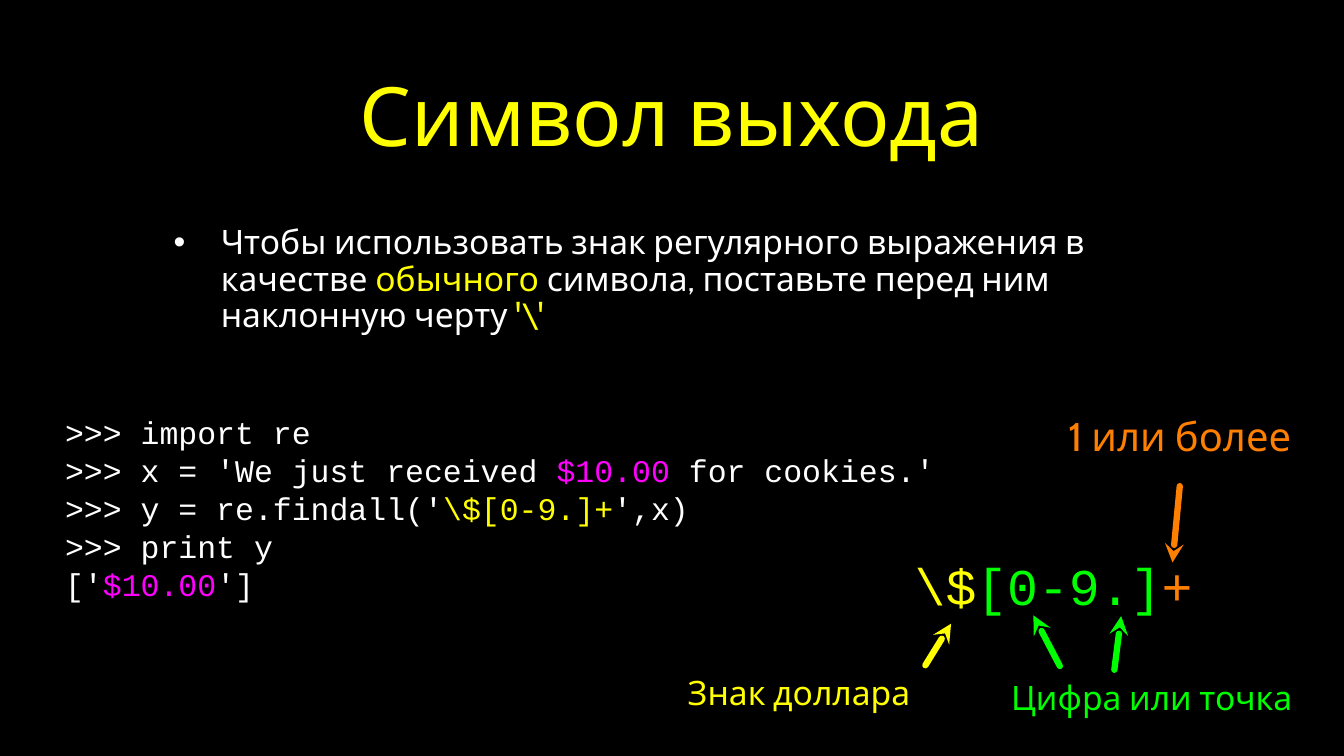
from dataclasses import dataclass

import pptx
import pptx.dml.color
import pptx.enum.shapes
import pptx.enum.text
import pptx.oxml.ns
import pptx.util
from lxml import etree

Pt = pptx.util.Pt
RGBColor = pptx.dml.color.RGBColor
Align = pptx.enum.text.PP_ALIGN

BLACK = RGBColor(0x00, 0x00, 0x00)
WHITE = RGBColor(0xFF, 0xFF, 0xFF)
YELLOW = RGBColor(0xFF, 0xFF, 0x00)
MAGENTA = RGBColor(0xFF, 0x00, 0xFF)
GREEN = RGBColor(0x00, 0xFF, 0x00)
ORANGE = RGBColor(0xFF, 0x7F, 0x00)

PROSE_FONT = "Cabin"
CODE_FONT = "Courier New"
BODY_INSET = 4.5

Line = list[tuple[str, RGBColor]]


@dataclass
class Block:
    box: tuple[float, float, float, float]
    lines: list[Line]
    size: float
    font: str = PROSE_FONT
    align: Align = Align.LEFT
    inset: float = 0
    spacing: float | pptx.util.Length | None = None


@dataclass
class Arrow:
    tip: tuple[float, float]
    tail: tuple[float, float]
    color: RGBColor


TITLE = Block((118.8, 18.7, 1041.8, 180), [[("Символ выхода", YELLOW)]], 78,
              align=Align.CENTER, inset=BODY_INSET)
RULE = Block((118.8, 203.8, 1041.8, 126), [[
    ("Чтобы использовать знак регулярного выражения в качестве ", WHITE),
    ("обычного", YELLOW),
    (" символа, поставьте перед ним наклонную черту ", WHITE),
    ("'\\'", YELLOW),
]], 32, inset=BODY_INSET, spacing=0.9)
CODE = Block((62, 368.6, 852.5, 230.4), [
    [(">>> import re", WHITE)],
    [(">>> x = 'We just received ", WHITE), ("$10.00", MAGENTA), (" for cookies.'", WHITE)],
    [(">>> y = re.findall('", WHITE), ("\\$[0-9.]+", YELLOW), ("',x)", WHITE)],
    [(">>> print y", WHITE)],
    [("['", WHITE), ("$10.00", MAGENTA), ("']", WHITE)],
], 30, CODE_FONT, spacing=Pt(36))
PATTERN = Block((871.2, 524.9, 269.3, 64.1),
                [[("\\$", YELLOW), ("[0-9.]", GREEN), ("+", ORANGE)]], 49, CODE_FONT)
DIGIT_LABEL = Block((945.4, 637.9, 303.1, 51.8), [[("Цифра или точка", GREEN)]], 32,
                    align=Align.CENTER)
DOLLAR_LABEL = Block((626.4, 632.9, 269.3, 51.8), [[("Знак доллара", YELLOW)]], 32,
                     align=Align.CENTER)
REPEAT_LABEL = Block((1010.2, 367.2, 226.8, 95.8), [[("1 или более", ORANGE)]], 38,
                     align=Align.CENTER)

ARROWS = [
    Arrow((905.8, 594), (881.3, 633.6), YELLOW),
    Arrow((984.2, 586.1), (1009.4, 634.3), GREEN),
    Arrow((1067.8, 586.8), (1061.3, 637.9), GREEN),
]
REPEAT_ARROW = Arrow((1116.7, 535.7), (1123.6, 463), ORANGE)


def fill_block(shape, block: Block) -> None:
    shape.left, shape.top, shape.width, shape.height = map(Pt, block.box)
    frame = shape.text_frame
    frame.word_wrap = True
    frame.auto_size = pptx.enum.text.MSO_AUTO_SIZE.NONE
    frame.vertical_anchor = pptx.enum.text.MSO_ANCHOR.MIDDLE
    frame.margin_left = frame.margin_right = Pt(block.inset)
    frame.margin_top = frame.margin_bottom = Pt(block.inset)
    for index, line in enumerate(block.lines):
        paragraph = frame.paragraphs[0] if index == 0 else frame.add_paragraph()
        paragraph.alignment = block.align
        if block.spacing is not None:
            paragraph.line_spacing = block.spacing
        for text, color in line:
            run = paragraph.add_run()
            run.text = text
            run.font.name = block.font
            run.font.size = Pt(block.size)
            run.font.color.rgb = color


def add_block(slide, block: Block):
    shape = slide.shapes.add_textbox(*map(Pt, block.box))
    fill_block(shape, block)
    return shape


def add_bullet(paragraph, margin: float, hanging: float, color: RGBColor) -> None:
    qn = pptx.oxml.ns.qn
    properties = paragraph._p.get_or_add_pPr()
    properties.set("marL", str(Pt(margin)))
    properties.set("indent", str(-Pt(hanging)))
    bullet_color = etree.SubElement(properties, qn("a:buClr"))
    etree.SubElement(bullet_color, qn("a:srgbClr"), val=str(color))
    etree.SubElement(properties, qn("a:buFont"), typeface="Arial")
    etree.SubElement(properties, qn("a:buChar"), char="•")


def add_arrow(slide, arrow: Arrow):
    qn = pptx.oxml.ns.qn
    connector = slide.shapes.add_connector(
        pptx.enum.shapes.MSO_CONNECTOR.STRAIGHT,
        *map(Pt, arrow.tip), *map(Pt, arrow.tail))
    connector.line.color.rgb = arrow.color
    connector.line.width = Pt(6)
    outline = connector.line._get_or_add_ln()
    outline.set("cap", "rnd")
    etree.SubElement(outline, qn("a:round"))
    etree.SubElement(outline, qn("a:headEnd"), type="stealth")
    etree.SubElement(connector._element.spPr, qn("a:effectLst"))
    return connector


def main() -> None:
    deck = pptx.Presentation()
    deck.slide_width, deck.slide_height = Pt(1280), Pt(720)
    slide = deck.slides.add_slide(deck.slide_layouts.get_by_name("Title Only"))
    slide.background.fill.solid()
    slide.background.fill.fore_color.rgb = BLACK

    fill_block(slide.shapes.title, TITLE)
    rule = add_block(slide, RULE)
    add_bullet(rule.text_frame.paragraphs[0], 87, 45, WHITE)
    for block in (CODE, PATTERN, DIGIT_LABEL, DOLLAR_LABEL):
        add_block(slide, block)
    for arrow in ARROWS:
        add_arrow(slide, arrow)
    repeat_label = add_block(slide, REPEAT_LABEL)
    add_arrow(slide, REPEAT_ARROW).end_connect(repeat_label, 2)

    deck.save("out.pptx")


if __name__ == "__main__":
    main()
